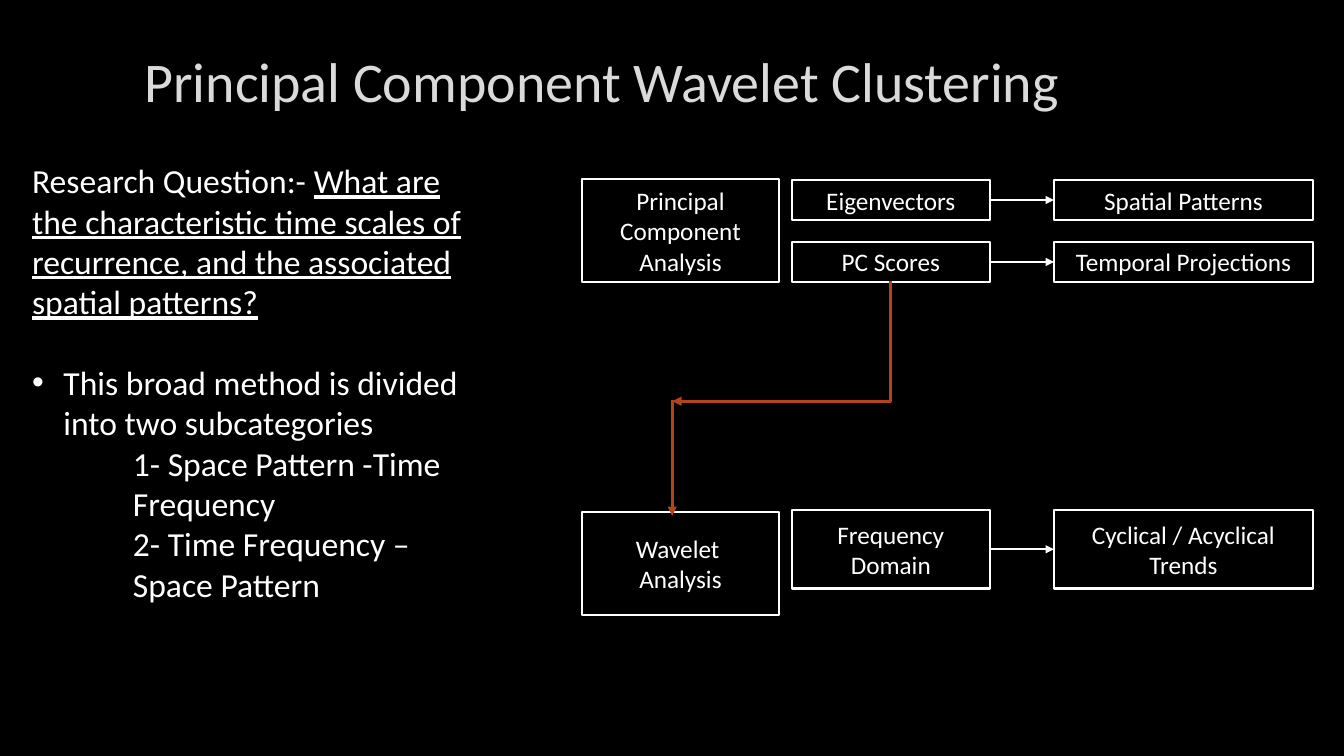
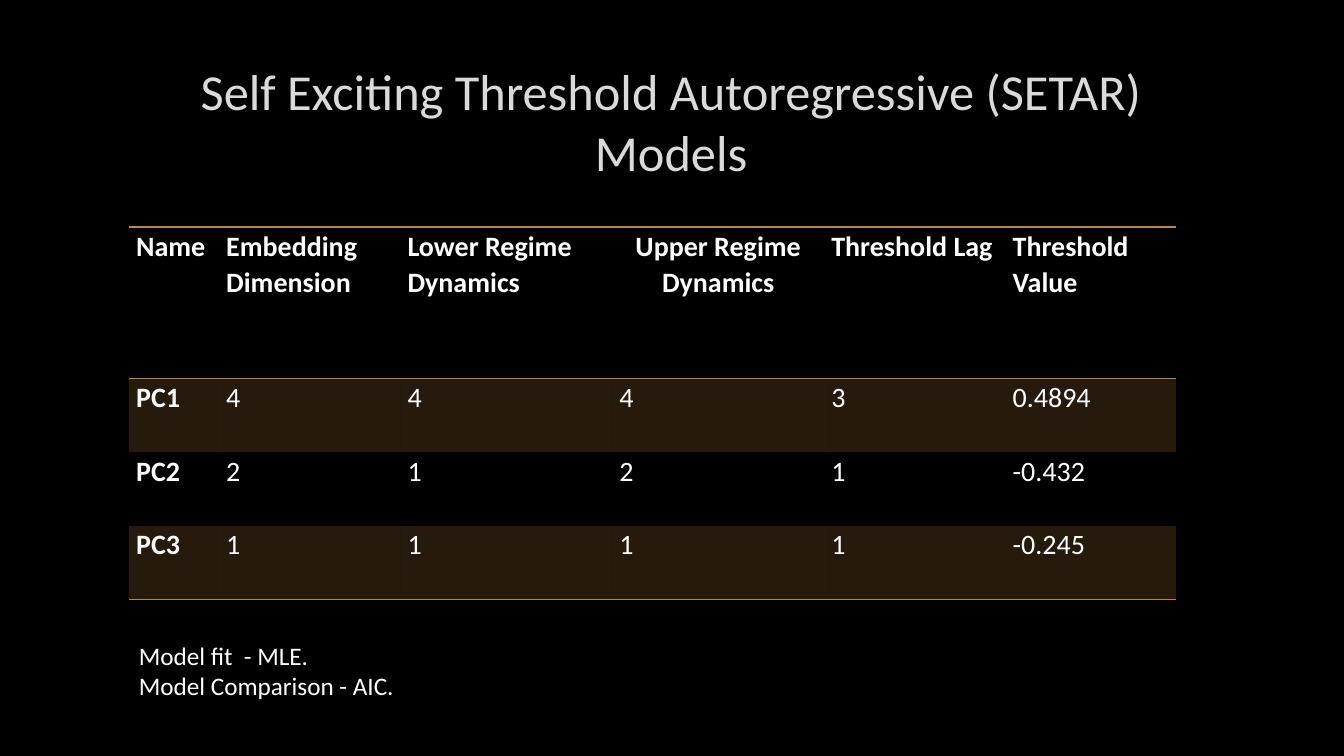
from lxml.etree import SubElement
from pptx import Presentation
from pptx.dml.color import RGBColor
from pptx.enum.shapes import MSO_CONNECTOR as Link, MSO_SHAPE as Shape
from pptx.enum.text import MSO_ANCHOR as Anchor, PP_ALIGN as Align
from pptx.oxml.ns import qn
from pptx.util import Cm, Pt

FONT = "Calibri"
BLACK, WHITE, TITLE_GREY = "000000", "FFFFFF", "DADADA"
RUST, GOLD = "B4421A", "BB8640"
PLAIN_TABLE = "{2D5ABB26-0587-4C30-8999-92F81FD0307C}"
BAND_ALPHA = "20000"
RIGHT, LEFT = 3, 1


def colour(target, hex_value):
    """Set a fill or colour format to a solid hex colour."""
    if hasattr(target, "solid"):
        target.solid()
        target = target.fore_color
    target.rgb = RGBColor.from_string(hex_value)


def write(frame, text, *, underlined="", size=18, ink=WHITE, bold=False,
          align=Align.LEFT, before=0, spacing=None):
    """Add a formatted paragraph to a text frame and return it."""
    first = frame.paragraphs[0]
    paragraph = frame.add_paragraph() if first.runs else first
    paragraph.text = text
    if underlined:
        emphasis = paragraph.add_run()
        emphasis.text = underlined
        emphasis.font.underline = True
    for run in paragraph.runs:
        run.font.name, run.font.size, run.font.bold = FONT, Pt(size), bold
        colour(run.font.fill, ink)
    paragraph.alignment = align
    paragraph.space_before = Pt(before)
    if spacing:
        paragraph.line_spacing = spacing
    return paragraph


def indent(paragraph, margin, first_line=0, bullet=None):
    """Indent a paragraph and give it an optional bullet."""
    properties = paragraph._p.get_or_add_pPr()
    properties.set("marL", str(Cm(margin)))
    properties.set("indent", str(Cm(first_line)))
    if bullet:
        SubElement(properties, qn("a:buFont"), typeface="Arial")
        SubElement(properties, qn("a:buChar"), char=bullet)


def text_frame(slide, left, top, width, height):
    """Add a wrapping text box and return its frame."""
    frame = slide.shapes.add_textbox(Cm(left), Cm(top), Cm(width), Cm(height)).text_frame
    frame.word_wrap = True
    return frame


def title(slide, text, size, left, top, width, height):
    """Place the centred slide title."""
    frame = text_frame(slide, left, top, width, height)
    frame.vertical_anchor = Anchor.MIDDLE
    write(frame, text, size=size, ink=TITLE_GREY, align=Align.CENTER)


def step(slide, label, left, top, width, height, weight=1.5):
    """Draw one outlined step of the method with its label."""
    box = slide.shapes.add_shape(Shape.RECTANGLE, Cm(left), Cm(top), Cm(width), Cm(height))
    box.shadow.inherit = False
    box.fill.background()
    colour(box.line.fill, WHITE)
    box.line.width = Pt(weight)
    frame = box.text_frame
    frame.word_wrap = True
    frame.margin_top = frame.margin_bottom = 0
    frame.vertical_anchor = Anchor.MIDDLE
    write(frame, label, align=Align.CENTER)
    return box


def arrow(slide, left, top, right, bottom, kind=Link.STRAIGHT, ink=WHITE, weight=1.5):
    """Draw a connector with a triangle at its end."""
    link = slide.shapes.add_connector(kind, Cm(left), Cm(top), Cm(right), Cm(bottom))
    colour(link.line.fill, ink)
    link.line.width = Pt(weight)
    SubElement(link.line._get_or_add_ln(), qn("a:tailEnd"), type="triangle")
    SubElement(link._element.spPr, qn("a:effectLst"))
    return link


def down_then_left(slide, start_x, start_y, end_x, end_y):
    """Draw a one-corner arrow that drops and then turns left."""
    drop, run = end_y - start_y, start_x - end_x
    left = (start_x + end_x - drop) / 2
    top = (start_y + end_y - run) / 2
    link = arrow(slide, left, top, left + drop, top + run, Link.ELBOW, RUST, 2.25)
    properties = link._element.spPr
    properties.find(qn("a:xfrm")).set("rot", "5400000")
    properties.find(qn("a:prstGeom")).set("prst", "bentConnector2")


def question(slide, left, top, width, height):
    """Place the research question and the two subcategories."""
    frame = text_frame(slide, left, top, width, height)
    write(frame, "Research Question:- ", size=24,
          underlined="What are the characteristic time scales of recurrence, "
                     "and the associated spatial patterns?")
    method = write(frame, "This broad method is divided into two subcategories",
                   size=24, before=29)
    indent(method, 0.79, -0.79, "•")
    for subcategory in ("1- Space Pattern -Time Frequency",
                        "2- Time Frequency – Space Pattern"):
        indent(write(frame, subcategory, size=24), 2.54)


def method_flow(slide, left, top):
    """Draw the two analyses, their products and the arrows between them."""
    width, wide = 4.98, 6.53
    middle, right = left + 5.3, left + 11.9
    lower = top + 8.38
    step(slide, "Principal Component Analysis", left, top, width, 2.59, 1.25)
    step(slide, "Wavelet \nAnalysis", left, lower, width, 2.59, 1.25)
    products = [("Eigenvectors", "Spatial Patterns", 0.02, 1),
                ("PC Scores", "Temporal Projections", 1.58, 1),
                ("Frequency Domain", "Cyclical / Acyclical Trends", 8.33, 1.98)]
    for product, meaning, offset, height in products:
        y = top + offset
        source = step(slide, product, middle, y, width, height)
        target = step(slide, meaning, right, y, wide, height)
        link = arrow(slide, middle + width, y, right, y)
        link.begin_connect(source, RIGHT)
        link.end_connect(target, LEFT)
    turn_x, turn_y = left + 2.28, top + 5.59
    down_then_left(slide, middle + width / 2, top + 2.56, turn_x, turn_y)
    arrow(slide, turn_x, turn_y - 0.03, turn_x, lower + 0.1, ink=RUST, weight=2.25)


def rule(cell, *sides):
    """Draw gold borders on the named sides of a cell."""
    for side in sides:
        line = SubElement(cell._tc.get_or_add_tcPr(), qn(f"a:ln{side}"), w=str(Pt(1)))
        solid = SubElement(line, qn("a:solidFill"))
        SubElement(solid, qn("a:srgbClr"), val=GOLD)


def band(cell):
    """Fill a cell with translucent gold."""
    colour(cell.fill, GOLD)
    shade = cell._tc.tcPr.find(qn("a:solidFill")).find(qn("a:srgbClr"))
    SubElement(shade, qn("a:alpha"), val=BAND_ALPHA)


def model_table(slide, left, top):
    """Place the table of fitted threshold models."""
    models = [
        ("Name", "Embedding Dimension", "Lower Regime Dynamics",
         "Upper Regime Dynamics", "Threshold Lag", "Threshold Value"),
        ("PC1", "4", "4", "4", "3", "0.4894"),
        ("PC2", "2", "1", "2", "1", "-0.432"),
        ("PC3", "1", "1", "1", "1", "-0.245"),
    ]
    widths = [2.27, 4.57, 5.34, 5.34, 4.57, 4.29]
    heights = [3.81, 1.86, 1.86, 1.86]
    grid = slide.shapes.add_table(len(models), len(widths), Cm(left), Cm(top),
                                  Cm(sum(widths)), Cm(sum(heights))).table
    grid.first_row = grid.horz_banding = False
    grid._tbl.tblPr.find(qn("a:tableStyleId")).text = PLAIN_TABLE
    for column, width in zip(grid.columns, widths):
        column.width = Cm(width)
    for row, height in zip(grid.rows, heights):
        row.height = Cm(height)
    for r, model in enumerate(models):
        for c, value in enumerate(model):
            cell = grid.cell(r, c)
            cell.margin_left = cell.margin_right = Cm(0.18)
            cell.margin_top = cell.margin_bottom = 0
            write(cell.text_frame, value, size=20, bold=r == 0 or c == 0, spacing=1.07,
                  align=Align.CENTER if (r, c) == (0, 3) else Align.LEFT)
            if r == 0:
                rule(cell, "T", "B")
            elif r == len(models) - 1:
                rule(cell, "B")
            if r % 2:
                band(cell)
            else:
                cell.fill.background()


def fit_notes(slide, left, top, width, height):
    """Place the two lines on model fit and comparison."""
    frame = text_frame(slide, left, top, width, height)
    for line in ("Model fit  - MLE.", "Model Comparison - AIC."):
        write(frame, line)


def clustering_slide(slide):
    """Build the slide on wavelet clustering."""
    title(slide, "Principal Component Wavelet Clustering", 40, 0.56, 0.41, 29.21, 3.23)
    question(slide, 0.56, 3.91, 11.35, 12.57)
    method_flow(slide, 14.66, 4.52)


def setar_slide(slide):
    """Build the slide on threshold models."""
    title(slide, "Self Exciting Threshold Autoregressive (SETAR)\nModels", 36,
          2.54, 1.7, 28.75, 2.69)
    model_table(slide, 3.25, 5.72)
    fit_notes(slide, 3.25, 16, 27.51, 1.8)


def main():
    """Build and save the presentation."""
    deck = Presentation()
    deck.slide_width, deck.slide_height = Cm(33.87), Cm(19.05)
    colour(deck.slide_master.background.fill, BLACK)
    for build in (clustering_slide, setar_slide):
        build(deck.slides.add_slide(deck.slide_layouts[6]))
    deck.save("out.pptx")


if __name__ == "__main__":
    main()
